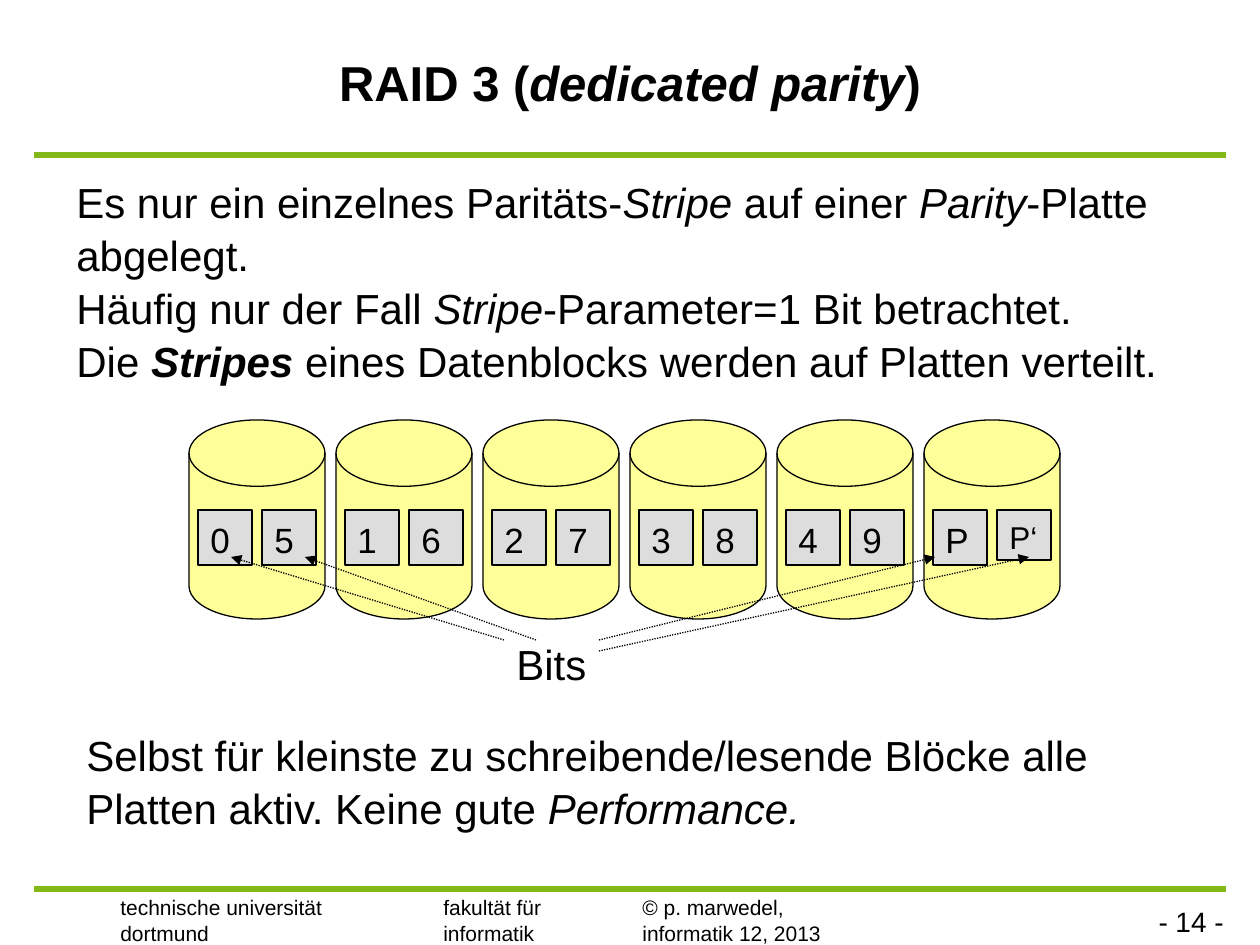
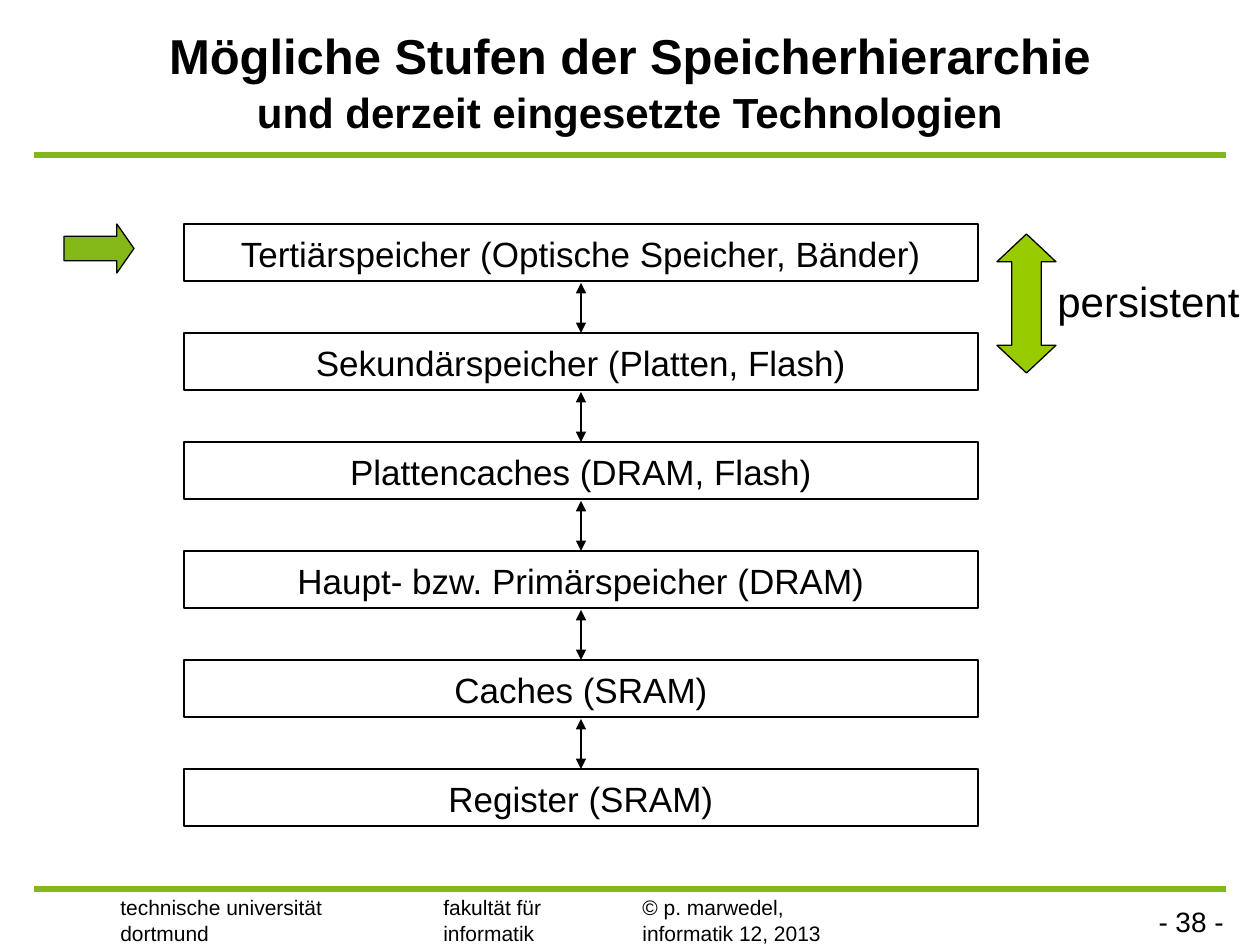
from dataclasses import dataclass

from lxml import etree
from pptx import Presentation
from pptx.dml.color import RGBColor
from pptx.enum.dml import MSO_LINE
from pptx.enum.shapes import MSO_CONNECTOR, MSO_SHAPE
from pptx.enum.text import MSO_ANCHOR, PP_ALIGN
from pptx.oxml.ns import qn
from pptx.util import Pt

PX = 914400 / 126
STRAIGHT = MSO_CONNECTOR.STRAIGHT
DOTTED = MSO_LINE.ROUND_DOT
RECT, DISK = MSO_SHAPE.RECTANGLE, MSO_SHAPE.FLOWCHART_MAGNETIC_DISK
RIGHT_ARROW, TWO_WAY_ARROW = MSO_SHAPE.RIGHT_ARROW, MSO_SHAPE.LEFT_RIGHT_ARROW
TOP, MIDDLE = MSO_ANCHOR.TOP, MSO_ANCHOR.MIDDLE
LEFT, CENTER, RIGHT = PP_ALIGN.LEFT, PP_ALIGN.CENTER, PP_ALIGN.RIGHT


@dataclass(frozen=True)
class Theme:
    font: str = "Arial"
    ink: str = "000000"
    rule: str = "84B818"
    persistent: str = "99CC00"
    disk: str = "FFFF99"
    block: str = "DDDDDD"
    title: int = 28
    body: int = 24
    label: int = 20
    small_label: int = 18
    page: int = 16
    footer: int = 12
    hairline: float = 0.75
    rule_width: int = 3
    line_spacing: float = 1.05


THEME = Theme()

# Text is a list of runs: (text, format values); "\n" is a line break.
ITALIC = {"italic": True}
BOLD = {"bold": True}
BOLD_ITALIC = {"bold": True, "italic": True}

SLIDE_SIZE = (1260, 945)
RULE_SPAN = (34, 1226)
RULE_TOPS = (889, 155)
TITLE_BOX = (0, 10, 1260, 140)
PAGE_BOX = (1081, 897, 155, 81)
FOOTERS = [
    ("technische universität\ndortmund", (108, 887, 227, 63)),
    ("fakultät für\ninformatik", (431, 887, 202, 63)),
    ("© p. marwedel,\ninformatik 12, 2013", (630, 887, 377, 63)),
]

RAID_TITLE = [("RAID 3 (", BOLD), ("dedicated parity", BOLD_ITALIC), (")", BOLD)]
RAID_INTRO = [
    ("Es nur ein einzelnes Paritäts-", {}), ("Stripe", ITALIC),
    (" auf einer ", {}), ("Parity", ITALIC),
    ("-Platte abgelegt.\nHäufig nur der Fall ", {}), ("Stripe", ITALIC),
    ("-Parameter=1 Bit betrachtet.\nDie ", {}), ("Stripes", BOLD_ITALIC),
    (" eines Datenblocks werden auf Platten verteilt.", {}),
]
RAID_VERDICT = [
    ("Selbst für kleinste zu schreibende/lesende Blöcke alle Platten aktiv. "
     "Keine gute ", {}),
    ("Performance.", ITALIC),
]
DISK_BLOCKS = [("0", "5"), ("1", "6"), ("2", "7"), ("3", "8"), ("4", "9"), ("P", "P‘")]
BIT_ARROWS = [
    ((504, 640), (231, 557)),
    ((536, 640), (305, 557)),
    ((599, 640), (935, 557)),
    ((599, 651), (1029, 557)),
]

TIERS_TITLE = [
    ("Mögliche Stufen der Speicherhierarchie\n", BOLD),
    ("und derzeit eingesetzte Technologien", {"bold": True, "size": Pt(THEME.body)}),
]
TIERS = [
    "Tertiärspeicher (Optische Speicher, Bänder)",
    "Sekundärspeicher (Platten, Flash)",
    "Plattencaches (DRAM, Flash)",
    "Haupt- bzw. Primärspeicher (DRAM)",
    "Caches (SRAM)",
    "Register (SRAM)",
]


def px(*lengths):
    return [round(length * PX) for length in lengths]


def color(value):
    return RGBColor.from_string(value)


def write(shape, content, size, align=LEFT, anchor=TOP, wrap=True):
    """Fill a shape with one paragraph, given as a string or a list of runs."""
    frame = shape.text_frame
    frame.word_wrap, frame.vertical_anchor = wrap, anchor
    paragraph = frame.paragraphs[0]
    paragraph.alignment = align
    paragraph.line_spacing = THEME.line_spacing
    runs = [(content, {})] if isinstance(content, str) else content
    for text, format_values in runs:
        for index, piece in enumerate(text.split("\n")):
            if index:
                paragraph.add_line_break()
            if not piece:
                continue
            run = paragraph.add_run()
            run.text = piece
            run.font.color.rgb = color(THEME.ink)
            values = {"name": THEME.font, "size": Pt(size), **format_values}
            for attribute, value in values.items():
                setattr(run.font, attribute, value)


def add_text(slide, box, content, size, **layout):
    write(slide.shapes.add_textbox(*px(*box)), content, size, **layout)


def add_figure(slide, kind, box, fill=None, adjustments=()):
    figure = slide.shapes.add_shape(kind, *px(*box))
    figure.shadow.inherit = False
    if fill:
        figure.fill.solid()
        figure.fill.fore_color.rgb = color(fill)
    else:
        figure.fill.background()
    figure.line.color.rgb = color(THEME.ink)
    figure.line.width = Pt(THEME.hairline)
    for index, value in enumerate(adjustments):
        figure.adjustments[index] = value
    return figure


def add_line(slide, start, end, stroke=THEME.ink, width=THEME.hairline,
             dash=None, arrowheads=()):
    """Draw a line; arrowheads names its ends: headEnd is start, tailEnd is end."""
    line = slide.shapes.add_connector(STRAIGHT, *px(*start, *end))
    line.line.color.rgb = color(stroke)
    line.line.width = Pt(width)
    if dash:
        line.line.dash_style = dash
    outline = line.line._get_or_add_ln()
    for line_end in arrowheads:
        etree.SubElement(outline, qn(f"a:{line_end}"), type="triangle")
    etree.SubElement(line._element.spPr, qn("a:effectLst"))


def add_base_slide(deck, title, number):
    slide = deck.slides.add_slide(deck.slide_layouts[6])
    add_text(slide, PAGE_BOX, f"- {number} -", THEME.page, align=RIGHT)
    for top in RULE_TOPS:
        add_line(slide, (RULE_SPAN[0], top), (RULE_SPAN[1], top),
                 THEME.rule, THEME.rule_width)
    for text, box in FOOTERS:
        add_text(slide, box, text, THEME.footer)
    add_text(slide, TITLE_BOX, title, THEME.title, align=CENTER, anchor=MIDDLE)
    return slide


def add_disks(slide):
    left, top, pitch = 189, 420, 147
    block_inset, block_pitch, block_top = 9, 64, 510
    for disk_index, labels in enumerate(DISK_BLOCKS):
        disk_left = left + disk_index * pitch
        add_figure(slide, DISK, (disk_left, top, 136, 199), THEME.disk)
        for block_index, label in enumerate(labels):
            block_left = disk_left + block_inset + block_index * block_pitch
            height, size = (55, THEME.label) if len(label) == 1 else (50, THEME.small_label)
            block = add_figure(slide, RECT, (block_left, block_top, 54, height), THEME.block)
            write(block, label, size)


def add_tiers(slide):
    left, top, width, height, pitch = 184, 224, 794, 57, 109
    center, arrow_length = left + width / 2, 50
    for index, tier in enumerate(TIERS):
        tier_top = top + index * pitch
        box = add_figure(slide, RECT, (left, tier_top, width, height))
        write(box, tier, THEME.label, align=CENTER, anchor=MIDDLE, wrap=False)
        if index:
            add_line(slide, (center, tier_top), (center, tier_top - arrow_length),
                     arrowheads=("headEnd", "tailEnd"))


def build_raid_slide(deck):
    slide = add_base_slide(deck, RAID_TITLE, 14)
    add_text(slide, (64, 168, 1131, 214), RAID_INTRO, THEME.body)
    add_disks(slide)
    add_text(slide, (74, 721, 1061, 113), RAID_VERDICT, THEME.body)
    add_text(slide, (504, 630, 116, 63), "Bits", THEME.body)
    for start, end in BIT_ARROWS:
        add_line(slide, start, end, dash=DOTTED, arrowheads=("tailEnd",))


def build_tiers_slide(deck):
    slide = add_base_slide(deck, TIERS_TITLE, 38)
    add_tiers(slide)
    add_figure(slide, RIGHT_ARROW, (64, 224, 70, 49), THEME.rule, (0.5, 0.35))
    add_text(slide, (1045, 267, 207, 63), "persistent", THEME.body, wrap=False)
    span = add_figure(slide, TWO_WAY_ARROW, (957, 274, 139, 59),
                      THEME.persistent, (0.5, 0.47))
    span.rotation = 270


def main():
    deck = Presentation()
    deck.slide_width, deck.slide_height = px(*SLIDE_SIZE)
    build_raid_slide(deck)
    build_tiers_slide(deck)
    deck.save("out.pptx")


if __name__ == "__main__":
    main()
